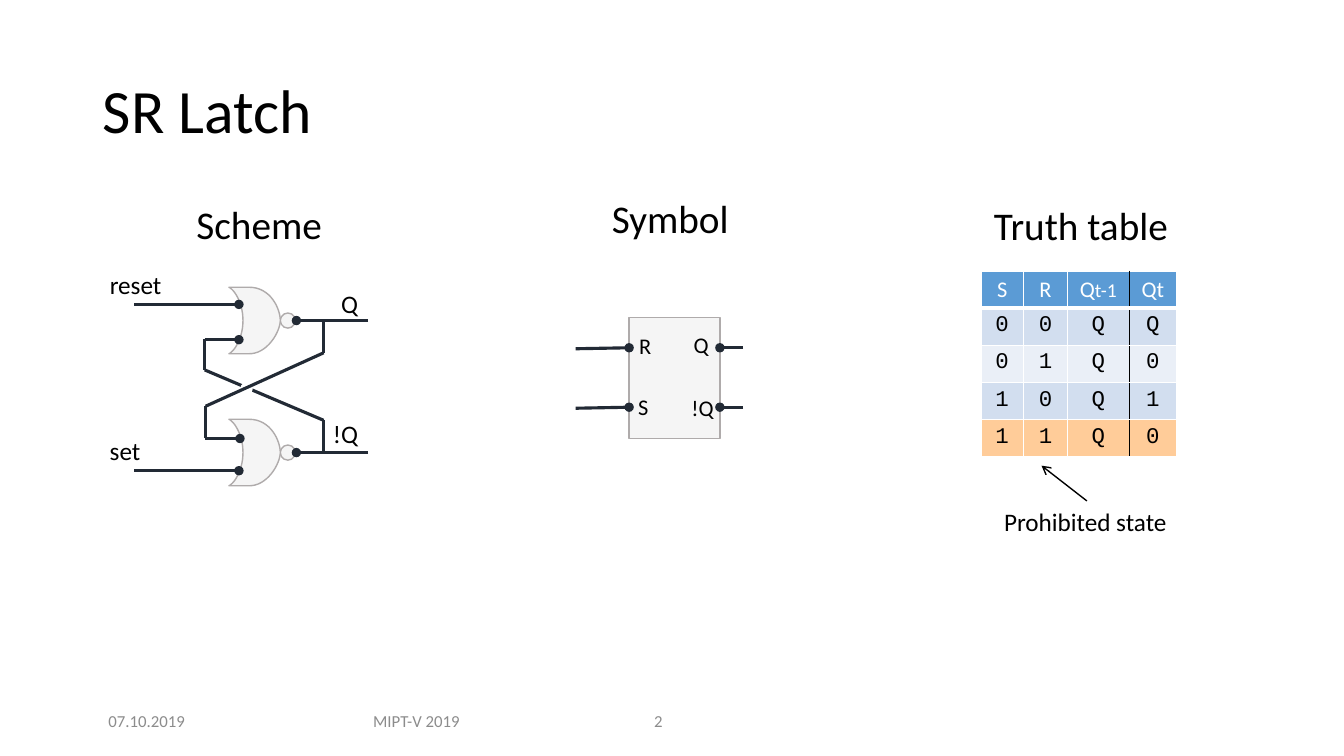
from dataclasses import dataclass

from lxml.etree import SubElement
from pptx import Presentation
from pptx.dml.color import RGBColor
from pptx.enum.shapes import MSO_CONNECTOR, MSO_SHAPE
from pptx.enum.text import MSO_ANCHOR, PP_ALIGN
from pptx.oxml.ns import qn
from pptx.util import Inches, Pt

BLACK = RGBColor(0, 0, 0)
WHITE = RGBColor(0xFF, 0xFF, 0xFF)
GRAY = RGBColor(0x8C, 0x8C, 0x8C)
INK = RGBColor(0x22, 0x2A, 0x35)
BODY = RGBColor(0xF5, 0xF5, 0xF5)
EDGE = RGBColor(0xAF, 0xAB, 0xAB)
HEADER = RGBColor(0x5B, 0x9B, 0xD5)
BAND_DARK = RGBColor(0xD2, 0xDE, 0xEF)
BAND_LIGHT = RGBColor(0xEA, 0xEF, 0xF7)
PROHIBITED = RGBColor(0xFF, 0xCC, 0x99)

# The grid: 133.3 columns by 75 rows of square cells
CELL = Inches(0.1)
GATE_STEP = 13.1  # rows from the upper gate to the lower one


@dataclass
class Label:
    text: str
    x: float
    y: float
    w: float
    h: float = 4
    size: int = 18
    color: RGBColor = BLACK
    align: PP_ALIGN = PP_ALIGN.LEFT
    anchor: MSO_ANCHOR = MSO_ANCHOR.TOP
    wrap: bool = True


@dataclass
class Wire:
    x1: float
    y1: float
    x2: float
    y2: float
    tail: str = ""
    color: RGBColor = INK
    width: float = 2.25


def u(cells: float) -> int:
    return round(cells * CELL)


def add_label(shapes, label: Label) -> None:
    sp = shapes.add_textbox(u(label.x), u(label.y), u(label.w), u(label.h))
    tf = sp.text_frame
    tf.word_wrap = label.wrap
    tf.vertical_anchor = label.anchor
    tf.text = label.text
    p = tf.paragraphs[0]
    p.alignment = label.align
    font = p.runs[0].font
    font.name, font.size = "Calibri", Pt(label.size)
    font.color.rgb = label.color


def add_wire(shapes, wire: Wire) -> None:
    cn = shapes.add_connector(MSO_CONNECTOR.STRAIGHT, u(wire.x1), u(wire.y1),
                              u(wire.x2), u(wire.y2))
    cn.line.color.rgb = wire.color
    cn.line.width = Pt(wire.width)
    if wire.tail:
        SubElement(cn.line._get_or_add_ln(), qn("a:tailEnd"), type=wire.tail)
    SubElement(cn._element.spPr, qn("a:effectLst"))


def paint(sp, fill: RGBColor, line: RGBColor, width: float = 1) -> None:
    sp.shadow.inherit = False
    sp.fill.solid()
    sp.fill.fore_color.rgb = fill
    sp.line.color.rgb = line
    sp.line.width = Pt(width)


def add_preset(shapes, kind: MSO_SHAPE, x: float, y: float, w: float, h: float,
               fill: RGBColor = BODY, line: RGBColor = EDGE) -> None:
    paint(shapes.add_shape(kind, u(x), u(y), u(w), u(h)), fill, line)


def bezier(points: list, steps: int = 16) -> list:
    (ax, ay), (bx, by), (cx, cy), (dx, dy) = points
    curve = []
    for i in range(1, steps + 1):
        t = i / steps
        k = ((1 - t) ** 3, 3 * t * (1 - t) ** 2, 3 * t * t * (1 - t), t ** 3)
        curve.append((k[0] * ax + k[1] * bx + k[2] * cx + k[3] * dx,
                      k[0] * ay + k[1] * by + k[2] * cy + k[3] * dy))
    return curve


def add_nor_gate(shapes, x: float, y: float) -> None:
    add_preset(shapes, MSO_SHAPE.OVAL, x + 5.1, y + 2.55, 1.5, 1.5)
    back = [(0, 0), (0.5, 0.2), (1.4, 1.5), (1.4, 3.3),
            (1.4, 5.1), (0.5, 6.4), (0, 6.6)]
    front = [(1.9, 6.6), (3.8, 6.7), (5.1, 4.4), (5.1, 3.3),
             (5.1, 2.2), (4.2, 0), (2, 0)]
    outline = []
    for side in (back, front):
        outline += side[:1] + bezier(side[:4]) + bezier(side[3:])
    points = [(u(x + px), u(y + py)) for px, py in outline]
    builder = shapes.build_freeform(*points[0])
    builder.add_line_segments(points[1:], close=True)
    paint(builder.convert_to_shape(), BODY, EDGE)


def set_borders(cell, left: RGBColor, right: RGBColor, bottom: float) -> None:
    tc_pr = cell._tc.get_or_add_tcPr()
    for tag, color, width in (("lnL", left, 1), ("lnR", right, 1),
                              ("lnT", WHITE, 1), ("lnB", WHITE, bottom)):
        ln = SubElement(tc_pr, qn("a:" + tag), w=str(Pt(width)))
        fill = SubElement(ln, qn("a:solidFill"))
        SubElement(fill, qn("a:srgbClr"), val=str(color))


def add_truth_table(shapes) -> None:
    rows = [(["S"], ["R"], ["Q", "t-1"], ["Qt"]), "00QQ", "01Q0", "10Q1", "11Q0"]
    fills = [HEADER, BAND_DARK, BAND_LIGHT, BAND_DARK, PROHIBITED]
    widths = [4.2, 4.4, 6.1, 4.7]
    row_height = 3.68
    table = shapes.add_table(len(rows), len(widths), u(97.3), u(26.9),
                             u(sum(widths)), u(row_height * len(rows))).table
    table.first_row = table.horz_banding = False
    for column, width in zip(table.columns, widths):
        column.width = u(width)
    for i, (row, fill) in enumerate(zip(rows, fills)):
        table.rows[i].height = u(row_height)
        for j, parts in enumerate(row):
            cell = table.cell(i, j)
            set_borders(cell, BLACK if j == 3 else WHITE,
                        BLACK if j == 2 else WHITE, 1 if i else 3)
            cell.fill.solid()
            cell.fill.fore_color.rgb = fill
            p = cell.text_frame.paragraphs[0]
            p.alignment = PP_ALIGN.CENTER
            for k, part in enumerate(parts):
                r = p.add_run()
                r.text = part
                r.font.size = Pt(14 if k else 16)
                r.font.name = "Courier New" if i else "Calibri"
                r.font.color.rgb = BLACK if i else WHITE


def add_scheme(shapes) -> None:
    for y in (28.5, 28.5 + GATE_STEP):
        add_nor_gate(shapes, 22.7, y)
        add_wire(shapes, Wire(36.5, y + 3.3, 29.4, y + 3.3, "oval"))
    for wire in [
        Wire(13.3, 30.2, 23.7, 30.2, "oval"), Wire(13.3, 46.7, 23.7, 46.7, "oval"),
        Wire(20.3, 33.7, 23.7, 33.7, "oval"), Wire(20.3, 43.5, 23.8, 43.5, "oval"),
        Wire(20.4, 40.3, 20.4, 43.5), Wire(32.1, 31.8, 32.1, 35),
        Wire(32.1, 41.7, 32.1, 44.9), Wire(20.3, 33.6, 20.3, 36.7),
        Wire(20.3, 36.7, 32.1, 41.7),
    ]:
        add_wire(shapes, wire)
    # Gap where one feedback wire passes over the other
    add_preset(shapes, MSO_SHAPE.OVAL, 23.9, 38, 1.1, 1.1, WHITE, WHITE)
    add_wire(shapes, Wire(32.1, 35, 20.4, 40.3))
    for label in [Label("reset", 9.9, 26.2, 9.5), Label("set", 9.9, 42.7, 10),
                  Label("Q", 30.4, 28.1, 6.1, align=PP_ALIGN.RIGHT),
                  Label("!Q", 30.4, 41, 6.1, align=PP_ALIGN.RIGHT)]:
        add_label(shapes, label)


def add_symbol(shapes) -> None:
    add_preset(shapes, MSO_SHAPE.RECTANGLE, 62.4, 31.5, 9, 12)
    for y in (34.5, 40.4):
        add_wire(shapes, Wire(57.1, y + 0.1, 62.4, y, "oval"))
        add_wire(shapes, Wire(73.7, y, 71.4, y, "oval"))
    for text, x, y, w in [("R", 62.4, 32.5, 3.2), ("S", 62.3, 38.5, 3.1),
                          ("Q", 67.8, 32.4, 3.5), ("!Q", 67.6, 38.6, 4.4)]:
        add_label(shapes, Label(text, x, y, w, 3.7, 16, wrap=False))


def main() -> None:
    prs = Presentation()
    prs.slide_width, prs.slide_height = Inches(13.33), Inches(7.5)
    slide = prs.slides.add_slide(prs.slide_layouts[5])
    shapes = slide.shapes

    # Title
    title = shapes.title
    title.left, title.top, title.width, title.height = u(9.2), u(4), u(115), u(14.5)
    tf = title.text_frame
    tf.text = "SR Latch"
    tf.vertical_anchor = MSO_ANCHOR.MIDDLE
    p = tf.paragraphs[0]
    p.alignment, p.line_spacing = PP_ALIGN.LEFT, 0.9
    font = p.runs[0].font
    font.name, font.size = "Calibri", Pt(44)
    font.color.rgb = BLACK

    # Diagrams and table
    add_scheme(shapes.add_group_shape().shapes)
    add_symbol(shapes.add_group_shape().shapes)
    add_truth_table(shapes)
    add_label(shapes, Label("Prohibited state", 98.6, 49.7, 18.3, wrap=False))
    add_wire(shapes, Wire(107.8, 49.7, 103.3, 46.2, "arrow", BLACK, 1))

    # Headings and footer
    for text, x, y, w in [("Scheme", 18.5, 19.4, 16), ("Symbol", 59.7, 18.8, 15.1),
                          ("Truth table", 97.6, 19.5, 19.5)]:
        add_label(shapes, Label(text, x, y, w, 5.7, 28))
    for text, x, w, align in [("07.10.2019", 9.2, 10.7, PP_ALIGN.CENTER),
                              ("MIPT-V 2019", 33.4, 15.8, PP_ALIGN.CENTER),
                              ("2", 63.9, 7.9, PP_ALIGN.LEFT)]:
        add_label(shapes, Label(text, x, 69.5, w, 4, 12, GRAY, align, MSO_ANCHOR.MIDDLE))

    prs.save("out.pptx")


if __name__ == "__main__":
    main()
